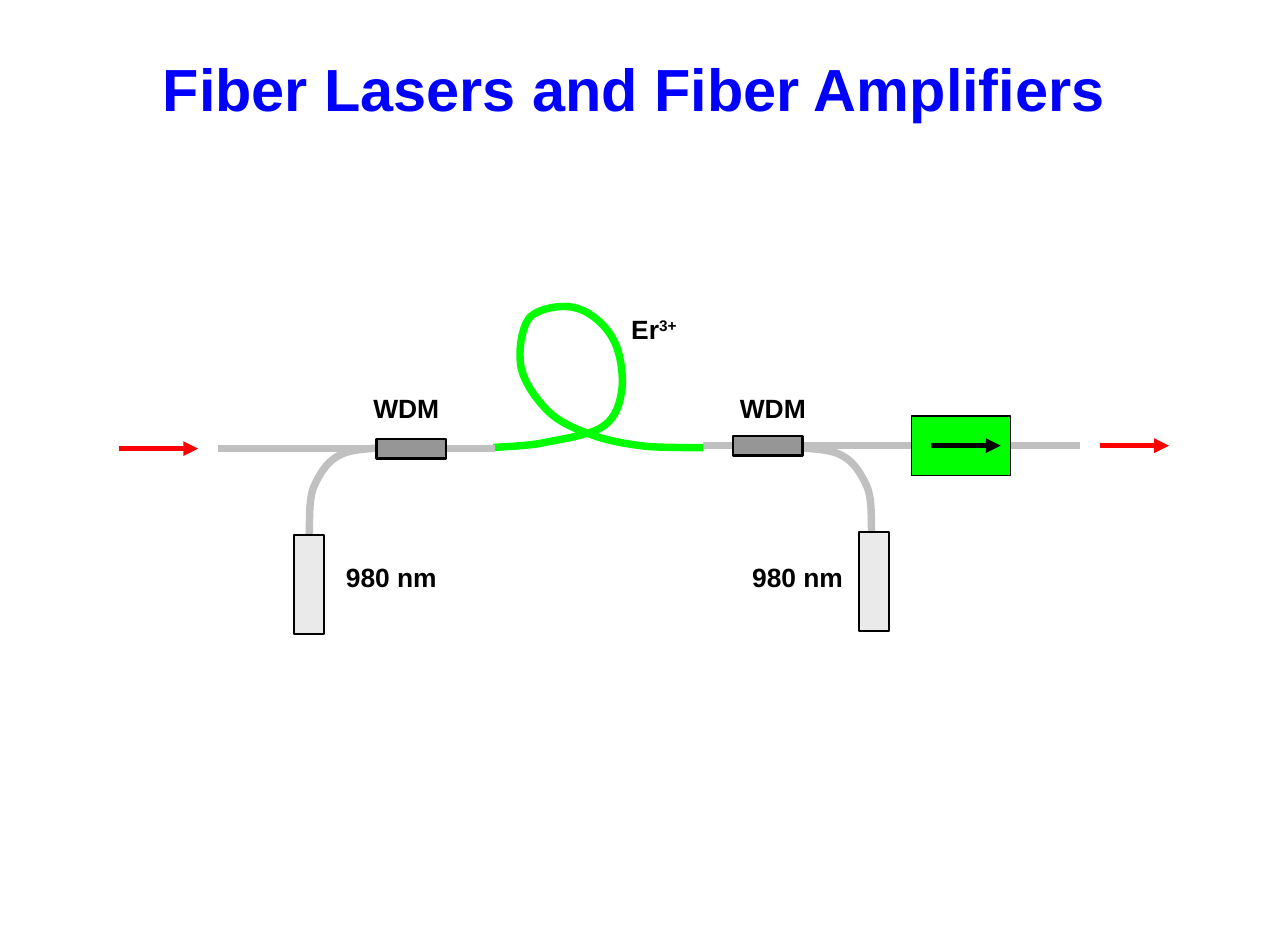
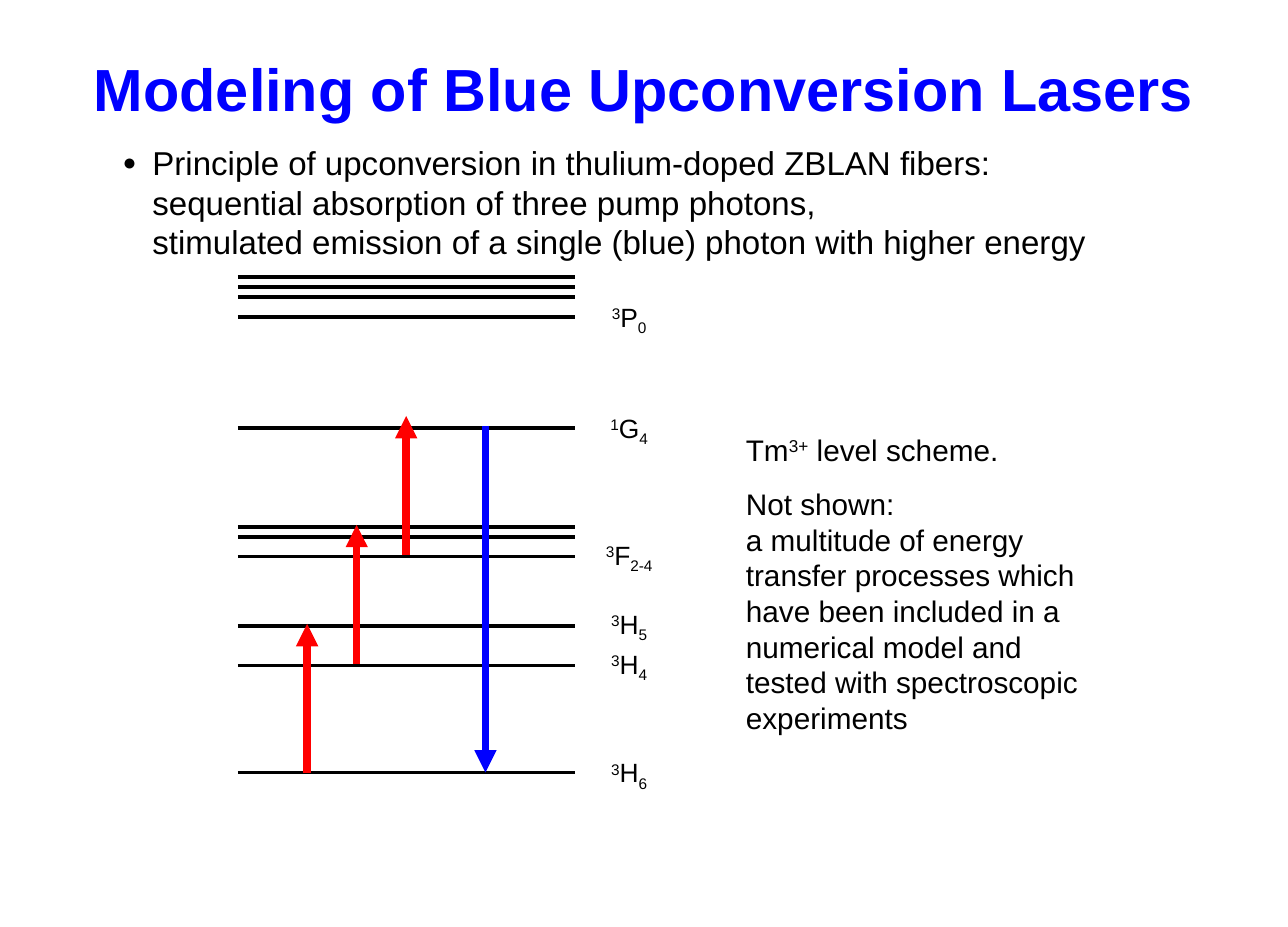
from pptx import Presentation
from pptx.dml.color import RGBColor
from pptx.enum.shapes import MSO_CONNECTOR, MSO_SHAPE
from pptx.enum.text import MSO_ANCHOR, PP_ALIGN
from pptx.oxml import parse_xml
from pptx.oxml.ns import nsdecls
from pptx.util import Pt

PX = 7620  # EMU per px, 120 px to the inch
STRAIGHT = MSO_CONNECTOR.STRAIGHT
RECTANGLE = MSO_SHAPE.RECTANGLE
LEFT, CENTER = PP_ALIGN.LEFT, PP_ALIGN.CENTER
TOP, MIDDLE = MSO_ANCHOR.TOP, MSO_ANCHOR.MIDDLE

BLACK = RGBColor(0x00, 0x00, 0x00)
WHITE = RGBColor(0xFF, 0xFF, 0xFF)
BLUE = RGBColor(0x00, 0x00, 0xFF)
RED = RGBColor(0xFF, 0x00, 0x00)
GREEN = RGBColor(0x00, 0xFF, 0x00)
FIBER_GRAY = RGBColor(0xC0, 0xC0, 0xC0)
COUPLER_GRAY = RGBColor(0x96, 0x96, 0x96)
PUMP_GRAY = RGBColor(0xEA, 0xEA, 0xEA)

TITLE = {"size": Pt(36), "bold": True}
LABEL = {"size": Pt(16), "bold": True}
LEVEL = {"size": Pt(16)}
BODY = {"size": Pt(20)}
NOTE = {"size": Pt(18)}
SUPER, SUB = 30000, -25000


def add_text(slide, box, paragraphs, font, color=BLACK, align=CENTER,
             anchor=TOP, space=0, bullet=False, fill=None):
    """Each paragraph is a list of (text, baseline); a newline breaks the line."""
    place = [value * PX for value in box]
    if fill is None:
        shape = slide.shapes.add_textbox(*place)
    else:
        shape = slide.shapes.add_shape(RECTANGLE, *place)
        shape.shadow.inherit = False
        shape.fill.solid()
        shape.fill.fore_color.rgb = fill
        shape.line.fill.background()
    frame = shape.text_frame
    frame.word_wrap = True
    frame.vertical_anchor = anchor
    for index, runs in enumerate(paragraphs):
        paragraph = frame.add_paragraph() if index else frame.paragraphs[0]
        paragraph.alignment = align
        if index:
            paragraph.space_before = Pt(space)
        if bullet:
            properties = paragraph._p.get_or_add_pPr()
            properties.set("marL", str(30 * PX))
            properties.set("indent", str(-30 * PX))
            for element in ('<a:buClr {}><a:srgbClr val="000000"/></a:buClr>',
                            '<a:buSzPct {} val="70000"/>',
                            '<a:buFont {} typeface="Arial"/>',
                            '<a:buChar {} char="●"/>'):
                properties.append(parse_xml(element.format(nsdecls("a"))))
        for text, baseline in runs:
            for number, line in enumerate(text.split("\n")):
                if number:
                    paragraph.add_line_break()
                run = paragraph.add_run()
                run.text = line
                for name, value in {"name": "Arial", **font}.items():
                    setattr(run.font, name, value)
                run.font.color.rgb = color
                if baseline:
                    run.font._element.set("baseline", str(baseline))


def add_line(slide, start, end, color, width, arrow=False):
    points = [value * PX for value in (*start, *end)]
    connector = slide.shapes.add_connector(STRAIGHT, *points)
    connector.line.color.rgb = color
    connector.line.width = Pt(width)
    if arrow:
        connector.line._get_or_add_ln().append(
            parse_xml(f'<a:tailEnd {nsdecls("a")} type="triangle"/>'))
    connector._element.spPr.append(parse_xml(f'<a:effectLst {nsdecls("a")}/>'))


presentation = Presentation()
presentation.slide_width = 1300 * PX
presentation.slide_height = 936 * PX
blank = presentation.slide_layouts[6]

titles = [("Fiber Lasers and Fiber Amplifiers", 100, 1080),
          ("Modeling of Blue Upconversion Lasers", 26, 1248)]
slides = []
for title, left, width in titles:
    slide = presentation.slides.add_slide(blank)
    add_text(slide, (left, 46, width, 85), [[(title, 0)]], TITLE, BLUE,
             anchor=MIDDLE, fill=WHITE)
    slides.append(slide)
amplifier_slide, level_slide = slides

# Fiber amplifier: curves are a start point followed by Bezier triples
erbium_loop = [
    (498, 452),
    (505, 451), (524, 451), (544, 448),
    (562, 444), (595, 440), (608, 431),
    (623, 421), (626, 406), (628, 391),
    (629, 376), (626, 354), (618, 341),
    (611, 328), (595, 314), (581, 311),
    (568, 307), (545, 311), (535, 320),
    (526, 331), (523, 355), (526, 371),
    (529, 386), (541, 403), (553, 415),
    (565, 427), (583, 434), (600, 440),
    (617, 446), (637, 449), (655, 451),
    (673, 452), (701, 452), (710, 452),
]
left_pump_fiber = [
    (422, 452),
    (410, 452), (366, 451), (349, 457),
    (331, 463), (323, 478), (317, 491),
    (311, 505), (313, 530), (312, 541),
]
right_pump_fiber = [(1192 - x, y) for x, y in left_pump_fiber]
for curve, color in [(erbium_loop, GREEN), (left_pump_fiber, FIBER_GRAY),
                     (right_pump_fiber, FIBER_GRAY)]:
    builder = amplifier_slide.shapes.build_freeform(*curve[0], scale=PX)
    builder.add_line_segments(curve[1:], close=False)
    shape = builder.convert_to_shape()
    shape.shadow.inherit = False
    shape.fill.background()
    shape.line.color.rgb = color
    shape.line.width = Pt(4.5)
    segments = shape._element.xpath(".//a:lnTo")
    for first in range(0, len(segments), 3):
        bezier = parse_xml(f'<a:cubicBezTo {nsdecls("a")}/>')
        segments[first].addprevious(bezier)
        for segment in segments[first:first + 3]:
            bezier.append(segment[0])
            segment.getparent().remove(segment)

for start, end, y in [(220, 500, 453), (710, 1090, 450)]:
    add_line(amplifier_slide, (start, y), (end, y), FIBER_GRAY, 4.5)

components = [
    ((380, 443, 70, 20), COUPLER_GRAY, 1.5),
    ((740, 440, 70, 20), COUPLER_GRAY, 1.5),
    ((297, 540, 30, 100), PUMP_GRAY, 1),
    ((867, 537, 30, 100), PUMP_GRAY, 1),
    ((920, 420, 100, 60), GREEN, 0.75),
]
for box, fill, border in components:
    shape = amplifier_slide.shapes.add_shape(
        RECTANGLE, *[value * PX for value in box])
    shape.shadow.inherit = False
    shape.fill.solid()
    shape.fill.fore_color.rgb = fill
    shape.line.color.rgb = BLACK
    shape.line.width = Pt(border)

for start, end, y, color in [(120, 200, 453, RED), (940, 1010, 450, BLACK),
                             (1110, 1180, 450, RED)]:
    add_line(amplifier_slide, (start, y), (end, y), color, 3, arrow=True)

for left, top, width, runs in [
        (360, 390, 100, [("WDM", 0)]),
        (730, 390, 100, [("WDM", 0)]),
        (330, 561, 130, [("980 nm", 0)]),
        (740, 561, 130, [("980 nm", 0)]),
        (620, 310, 80, [("Er", 0), ("3+", SUPER)])]:
    add_text(amplifier_slide, (left, top, width, 44), [runs], LABEL)

# Thulium level scheme
principle = ("Principle of upconversion in thulium-doped ZBLAN fibers:\n"
             "sequential absorption of three pump photons,\n"
             "stimulated emission of a single (blue) photon with higher energy")
add_text(level_slide, (112, 138, 1078, 133), [[(principle, 0)]], BODY,
         align=LEFT, bullet=True)

for y in (280, 290, 300, 320, 432, 532, 542, 562, 632, 672, 780):
    add_line(level_slide, (240, y), (580, y), BLACK, 2.25)

for top, multiplicity, letter, momentum in [
        (298, "3", "P", "0"), (410, "1", "G", "4"), (538, "3", "F", "2-4"),
        (608, "3", "H", "5"), (648, "3", "H", "4"), (758, "3", "H", "6")]:
    term = [(multiplicity, SUPER), (letter, 0), (momentum, SUB)]
    add_text(level_slide, (590, top, 90, 49), [term], LEVEL)

for x, start, end, color in [(310, 780, 630, RED), (360, 670, 530, RED),
                             (410, 560, 420, RED), (490, 430, 780, BLUE)]:
    add_line(level_slide, (x, start), (x, end), color, 4.5, arrow=True)

not_shown = ("Not shown:\na multitude of energy transfer processes which have "
             "been included in a numerical model and tested with "
             "spectroscopic experiments")
add_text(level_slide, (741, 430, 364, 319),
         [[("Tm", 0), ("3+", SUPER), (" level scheme.", 0)], [(not_shown, 0)]],
         NOTE, align=LEFT, space=11.2)

presentation.save("out.pptx")
